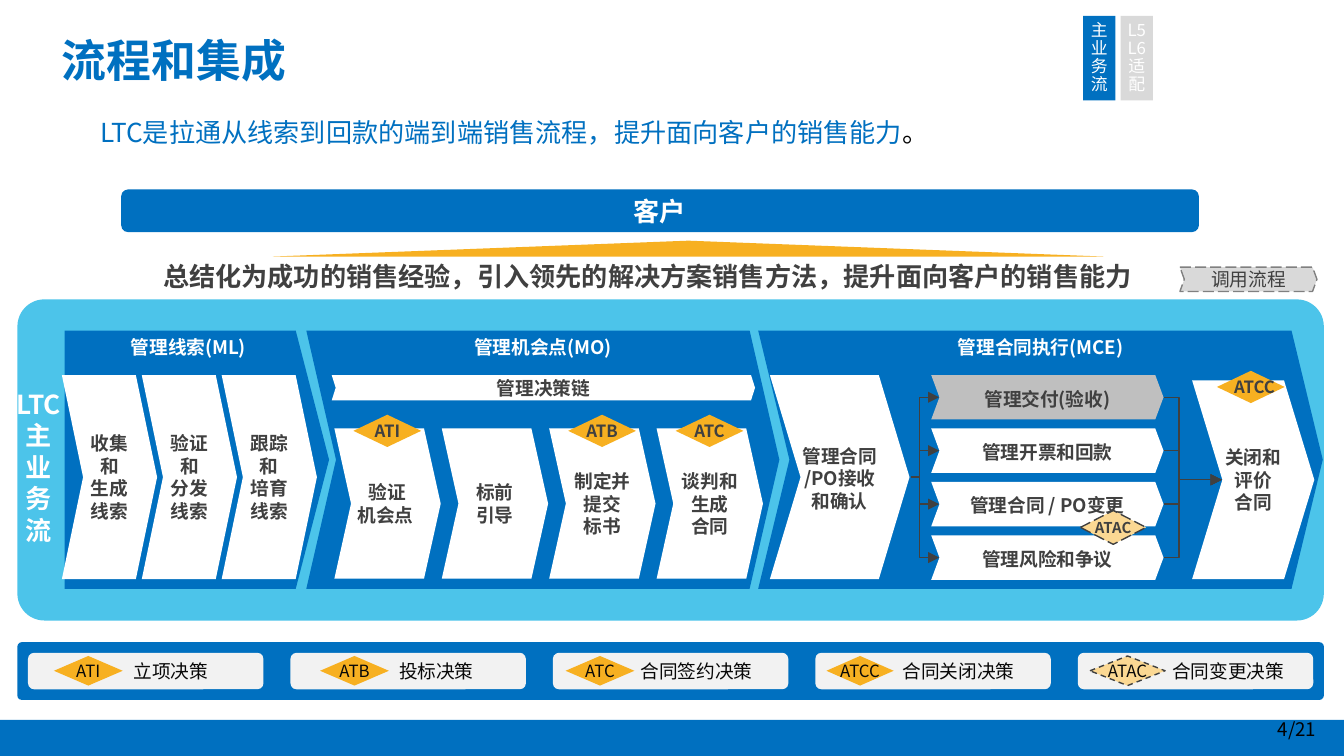
import pptx
import pptx.util
import pptx.dml.color
import pptx.enum.dml
import pptx.enum.shapes
import pptx.enum.text
import pptx.oxml.ns
from lxml import etree

Cm, Pt = pptx.util.Cm, pptx.util.Pt
RGB = pptx.dml.color.RGBColor
SHAPE = pptx.enum.shapes.MSO_SHAPE
ANCHOR = pptx.enum.text.MSO_ANCHOR
ALIGN = pptx.enum.text.PP_ALIGN
DASH = pptx.enum.dml.MSO_LINE
qn = pptx.oxml.ns.qn

BLUE, SKY = RGB(0x00, 0x70, 0xC0), RGB(0x00, 0xAC, 0xE2)
AMBER, SAND = RGB(0xF7, 0xB0, 0x21), RGB(0xFB, 0xD8, 0x93)
WHITE, BLACK, INK = RGB(255, 255, 255), RGB(0, 0, 0), RGB(8, 8, 8)
DARK, GREY = RGB(0x40, 0x40, 0x40), RGB(0x80, 0x80, 0x80)
SILVER, PALE, MIST = RGB(0xBF, 0xBF, 0xBF), RGB(0xD9, 0xD9, 0xD9), RGB(0xF2, 0xF2, 0xF2)
FONT = "Noto Sans CJK SC"

TITLE = "流程和集成"
SUMMARY = "LTC是拉通从线索到回款的端到端销售流程，提升面向客户的销售能力"
SLOGAN = "总结化为成功的销售经验，引入领先的解决方案销售方法，提升面向客户的销售能力"
TABS = [(["主业务流"], BLUE), (["L5", "L6", "适配"], PALE)]
STREAM = ["LTC", "主", "业", "务", "流"]
STAGES = [
    ("管理机会点(MO)", SHAPE.CHEVRON, 5.79, 8.94, 0.115),
    ("管理线索(ML)", SHAPE.PENTAGON, 1.22, 5.0, 0.129),
    ("管理合同执行(MCE)", SHAPE.CHEVRON, 14.33, 10.67, 0.121),
]
LEAD_STEPS = ["收集和\n生成线索", "验证和\n分发线索", "跟踪和\n培育线索"]
CHANCE_STEPS = [
    (["验证", "机会点 "], "ATI"),
    (["标前\n引导"], None),
    (["制定并提交", "标书"], "ATB"),
    (["谈判和\n生成", "合同"], "ATC"),
]
CONTRACT_TASKS = [
    ("管理交付(验收)", SILVER),
    ("管理开票和回款", WHITE),
    ("管理合同 / PO变更", WHITE),
    ("管理风险和争议", WHITE),
]
# code, meaning, badge offset, badge width, label offset, label width
LEGEND = [
    ("ATI", "立项决策", 0.49, 1.3, 1.4, 2.59),
    ("ATB", "投标决策", 0.56, 1.3, 1.6, 2.31),
    ("ATC", "合同签约决策", 0.24, 1.3, 1.23, 2.97),
    ("ATCC", "合同关闭决策", 0.21, 1.27, 1.18, 3.05),
    ("ATAC", "合同变更决策", 0.23, 1.42, 1.25, 3.18),
]

deck = pptx.Presentation()
deck.slide_width, deck.slide_height = Cm(25.4), Cm(14.29)
slide = deck.slides.add_slide(deck.slide_layouts[5])


def add_run(paragraph, text, size, color, bold=False, font=FONT):
    run = paragraph.add_run()
    run.text = text
    run.font.size, run.font.bold, run.font.name = Pt(size), bold, font
    run.font.color.rgb = color
    east_asian = etree.SubElement(run.font._element, qn("a:ea"))
    east_asian.set("typeface", font)


def write(holder, paragraphs, size, color, bold=False, align=ALIGN.CENTER,
          anchor=ANCHOR.MIDDLE, insets=None, wrap=True, spacing=None):
    frame = holder.text_frame
    frame.word_wrap, frame.vertical_anchor = wrap, anchor
    if insets:
        frame.margin_left, frame.margin_top, frame.margin_right, frame.margin_bottom = map(Cm, insets)
    for i, text in enumerate(paragraphs):
        paragraph = frame.paragraphs[0] if i == 0 else frame.add_paragraph()
        paragraph.alignment = align
        if spacing:
            paragraph.line_spacing = spacing
        for j, part in enumerate(text.split("\n")):
            if j:
                paragraph.add_line_break()
            add_run(paragraph, part, size, color, bold)


def add_block(kind, box, fill, adjust=None, outline=None, dash=None):
    block = slide.shapes.add_shape(kind, *map(Cm, box))
    block.shadow.inherit = False
    block.fill.solid()
    block.fill.fore_color.rgb = fill
    if adjust is not None:
        block.adjustments[0] = adjust
    if outline is None:
        block.line.fill.background()
    else:
        block.line.color.rgb, block.line.width = outline, Pt(0.75)
        block.line.dash_style = dash
    return block


def add_label(box, paragraphs, size, color, **style):
    label = slide.shapes.add_textbox(*map(Cm, box))
    write(label, paragraphs, size, color, **style)
    return label


def add_step(box, paragraphs, adjust, fill=WHITE, insets=(0, 0.03, 0, 0.03)):
    step = add_block(SHAPE.CHEVRON, box, fill, adjust)
    write(step, paragraphs, 10, DARK, bold=True, insets=insets)


def add_badge(code, center, top, text_shift=0):
    add_block(SHAPE.DIAMOND, (center - 0.64, top, 1.28, 0.61), AMBER)
    add_label((center - 0.8 + text_shift, top - 0.02, 1.6, 0.64), [code], 9, DARK, bold=True)


def add_flow(start, end, bend):
    flow = slide.shapes.add_connector(pptx.enum.shapes.MSO_CONNECTOR.ELBOW, *map(Cm, start + end))
    flow.line.color.rgb, flow.line.width = DARK, Pt(0.75)
    properties = flow._element.spPr
    etree.SubElement(properties.find(qn("a:ln")), qn("a:tailEnd"), type="triangle")
    etree.SubElement(properties, qn("a:effectLst"))
    guides = properties.find(qn("a:prstGeom")).get_or_add_avLst()
    etree.SubElement(guides, qn("a:gd"), name="adj1", fmla=f"val {round(bend * 100000)}")


add_block(SHAPE.RECTANGLE, (-0.08, 13.61, 25.48, 0.71), BLUE)

title = slide.shapes.title
title.left, title.top, title.width, title.height = map(Cm, (1.07, 0.53, 15.16, 1.75))
title.text_frame.auto_size = pptx.enum.text.MSO_AUTO_SIZE.NONE
write(title, [TITLE], 24, BLUE, bold=True, align=ALIGN.LEFT, insets=(0.1, 0.1, 0.1, 0.66))

summary = add_label((1.65, 2.08, 16.28, 0.86), [SUMMARY], 14, BLUE,
                    align=ALIGN.LEFT, anchor=ANCHOR.TOP, wrap=False)
add_run(summary.text_frame.paragraphs[0], "。", 14, BLACK, font="Calibri")

for i, (lines, fill) in enumerate(TABS):
    tab = add_block(SHAPE.RECTANGLE, (20.47 + 0.71 * i, 0.3, 0.61, 1.6), fill)
    write(tab, lines, 9, WHITE, insets=(0, 0.05, 0, 0.05), spacing=0.9)

customer = add_block(SHAPE.ROUNDED_RECTANGLE, (2.29, 3.58, 20.37, 0.81), BLUE)
write(customer, ["客户"], 14, WHITE, bold=True)
add_block(SHAPE.ISOSCELES_TRIANGLE, (5.16, 4.55, 15.7, 0.3), AMBER)
add_label((1.07, 4.83, 22.35, 0.81), [SLOGAN], 14, DARK, bold=True,
          anchor=ANCHOR.TOP, insets=(0.23, 0.1, 0.23, 0.1))
called = add_block(SHAPE.CHEVRON, (22.3, 5.05, 2.59, 0.46), PALE, 0.181, GREY, DASH.LONG_DASH)
write(called, ["调用流程"], 10, DARK, insets=(0.03, 0.1, 0.03, 0.1))

panel = add_block(SHAPE.ROUNDED_RECTANGLE, (0.33, 5.66, 24.69, 6.07), SKY, 0.084)
panel_color = panel._element.spPr.find(qn("a:solidFill"))[0]
etree.SubElement(panel_color, qn("a:alpha"), val="70000")
add_label((-0.08, 7.21, 1.63, 3.23), STREAM, 14, WHITE, bold=True, insets=(0.2, 0.1, 0.2, 0.1))

for name, kind, left, width, adjust in STAGES:
    stage = add_block(kind, (left, 6.25, width, 4.88), BLUE, adjust)
    write(stage, [name], 10, WHITE, bold=True, anchor=ANCHOR.TOP, insets=(0.1, 0.1, 0.1, 0.1))

for i, name in enumerate(LEAD_STEPS):
    add_step((1.17 + 1.51 * i, 7.09, 1.8, 3.86), [name], 0.223)

add_step((6.27, 7.09, 8.0, 0.48), ["管理决策链"], 0.157)
for i, (lines, code) in enumerate(CHANCE_STEPS):
    left = 6.32 + 2.03 * i
    add_step((left, 8.1, 2.01, 2.84), lines, 0.157)
    if code:
        add_badge(code, left + 1.0, 7.84)

add_step((14.55, 7.09, 2.64, 3.86), ["管理合同 /PO接收和确认"], 0.22, insets=(0, 0.1, 0, 0.05))
add_step((22.53, 7.19, 2.31, 3.76), ["关闭和\n评价\n合同"], 0.248)
add_badge("ATCC", 23.64, 7.01, 0.07)
for i, (name, fill) in enumerate(CONTRACT_TASKS):
    top = 7.09 + 1.01 * i
    middle = top + 0.42
    add_step((17.6, top, 4.39, 0.84), [name], 0.185, fill, (0.03, 0.1, 0.03, 0.05))
    add_flow((17.22, 9.02), (17.75, middle), 0.3)
    add_flow((22.0, middle), (23.09, 9.07), 0.26)
change = add_block(SHAPE.DIAMOND, (20.42, 9.65, 1.24, 0.64), SAND, None, DARK, DASH.LONG_DASH)
write(change, ["ATAC"], 8, DARK, bold=True, insets=(0, 0, 0, 0), wrap=False)

add_block(SHAPE.ROUNDED_RECTANGLE, (0.33, 12.14, 24.69, 1.09), BLUE, 0.074)
for i, (code, meaning, badge_shift, badge_width, label_shift, label_width) in enumerate(LEGEND):
    left = 0.53 + 4.96 * i
    add_block(SHAPE.ROUNDED_RECTANGLE, (left, 12.34, 4.45, 0.69), MIST)
    look = (SAND, None, DARK, DASH.DASH) if code == "ATAC" else (AMBER,)
    badge = add_block(SHAPE.DIAMOND, (left + badge_shift, 12.4, badge_width, 0.56), *look)
    write(badge, [code], 9, INK, insets=(0, 0, 0, 0), wrap=False)
    add_label((left + label_shift, 12.34, label_width, 0.69), [meaning], 10, INK)

add_label((23.9, 13.41, 1.5, 0.76), ["4/21"], 10, BLACK, align=ALIGN.LEFT)

deck.save("out.pptx")
